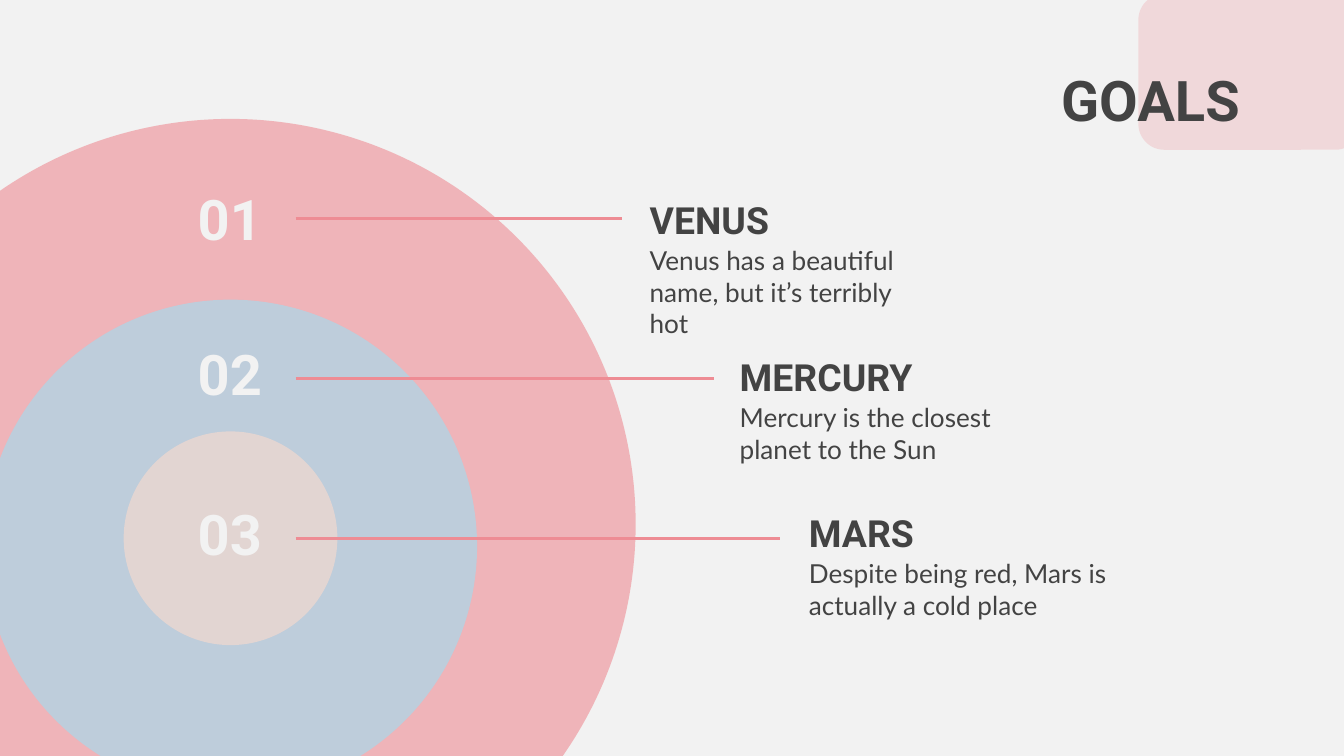
from dataclasses import dataclass

from lxml.etree import SubElement
from pptx import Presentation
from pptx.dml.color import RGBColor
from pptx.enum.shapes import MSO_CONNECTOR, MSO_SHAPE
from pptx.enum.text import MSO_ANCHOR as Anchor, MSO_AUTO_SIZE, PP_ALIGN as Align
from pptx.oxml.ns import qn
from pptx.shapes.autoshape import Shape
from pptx.slide import Slide
from pptx.text.text import TextFrame
from pptx.util import Emu, Pt

SCALE = 4572  # EMU per px, 200 px to the inch


def px(n: int) -> Emu:
    return Emu(n * SCALE)


@dataclass(frozen=True)
class Style:
    size: int
    color: str
    font: str = "Roboto"
    bold: bool = True


@dataclass(frozen=True)
class Theme:
    background: str = "F2F2F2"
    accent: str = "EE8C94"
    blue: str = "AED7E8"
    sand: str = "F2D9CF"
    title: Style = Style(30, "434343")
    number: Style = Style(30, "F2F2F2")
    heading: Style = Style(20, "434343")
    body: Style = Style(14, "434343", "Lato", False)
    line_width: float = 1.5
    inset: int = 20


THEME = Theme()


@dataclass(frozen=True)
class Box:
    left: int
    top: int
    width: int
    height: int

    def emu(self) -> tuple[Emu, Emu, Emu, Emu]:
        return px(self.left), px(self.top), px(self.width), px(self.height)


@dataclass(frozen=True)
class Disc:
    box: Box
    color: str
    alpha: int


@dataclass(frozen=True)
class Goal:
    number: str
    name: str
    text: str
    number_top: int
    line_y: int
    line_end: int
    left: int
    name_top: int
    text_width: int


DISCS = (
    Disc(Box(-260, 177, 1206, 1206), THEME.accent, 60),
    Disc(Box(-24, 446, 734, 734), THEME.blue, 74),
    Disc(Box(184, 642, 318, 318), THEME.sand, 71),
)
GOALS = (
    Goal("01", "VENUS", "Venus has a beautiful name, but it’s terribly hot",
         269, 325, 926, 947, 254, 438),
    Goal("02", "MERCURY", "Mercury is the closest planet to the Sun",
         500, 563, 1062, 1081, 488, 438),
    Goal("03", "MARS", "Despite being red, Mars is actually a cold place",
         738, 801, 1160, 1184, 720, 534),
)
NUMBER_LEFT, NUMBER_WIDTH = 264, 156
NAME_WIDTH, NAME_HEIGHT = 342, 126
TEXT_OFFSET, TEXT_HEIGHT = 90, 192
LINE_START = 440


def write(tf: TextFrame, text: str, style: Style, align: Align, anchor: Anchor) -> None:
    tf.word_wrap = True
    tf.auto_size = MSO_AUTO_SIZE.NONE
    tf.vertical_anchor = anchor
    tf.margin_left = tf.margin_right = px(THEME.inset)
    tf.margin_top = tf.margin_bottom = px(THEME.inset)
    p = tf.paragraphs[0]
    p.alignment = align
    r = p.add_run()
    r.text = text
    r.font.name = style.font
    r.font.size = Pt(style.size)
    r.font.bold = style.bold
    r.font.color.rgb = RGBColor.from_string(style.color)


def add_text(s: Slide, box: Box, text: str, style: Style,
             align: Align = Align.LEFT, anchor: Anchor = Anchor.BOTTOM) -> None:
    write(s.shapes.add_textbox(*box.emu()).text_frame, text, style, align, anchor)


def add_tint(s: Slide, kind: MSO_SHAPE, box: Box, color: str, alpha: int) -> Shape:
    """Add a borderless shape whose fill has the given opacity in percent."""
    sp = s.shapes.add_shape(kind, *box.emu())
    sp.shadow.inherit = False
    sp.fill.solid()
    sp.fill.fore_color.rgb = RGBColor.from_string(color)
    clr = sp.element.spPr.find(f"{qn('a:solidFill')}/{qn('a:srgbClr')}")
    SubElement(clr, qn("a:alpha")).set("val", str(alpha * 1000))
    sp.line.fill.background()
    return sp


def add_leader(s: Slide, y: int, end: int) -> None:
    line = s.shapes.add_connector(
        MSO_CONNECTOR.STRAIGHT, px(LINE_START), px(y), px(end), px(y))
    line.line.color.rgb = RGBColor.from_string(THEME.accent)
    line.line.width = Pt(THEME.line_width)
    SubElement(line.element.spPr, qn("a:effectLst"))


def add_goal(s: Slide, g: Goal) -> None:
    add_text(s, Box(g.left, g.name_top, NAME_WIDTH, NAME_HEIGHT), g.name, THEME.heading)
    add_text(s, Box(g.left, g.name_top + TEXT_OFFSET, g.text_width, TEXT_HEIGHT),
             g.text, THEME.body, anchor=Anchor.TOP)
    add_text(s, Box(NUMBER_LEFT, g.number_top, NUMBER_WIDTH, NAME_HEIGHT),
             g.number, THEME.number, Align.CENTER)
    add_leader(s, g.line_y, g.line_end)


def add_title(s: Slide, text: str) -> None:
    title = s.shapes.title
    title.left, title.top, title.width, title.height = Box(1187, 78, 678, 204).emu()
    write(title.text_frame, text, THEME.title, Align.RIGHT, Anchor.TOP)
    corner = add_tint(s, MSO_SHAPE.ROUNDED_RECTANGLE, Box(1694, -9, 332, 232),
                      THEME.accent, 25)
    title.element.addprevious(corner.element)  # the corner lies behind the title


def main() -> None:
    prs = Presentation()
    prs.slide_width, prs.slide_height = px(2000), px(1125)
    s = prs.slides.add_slide(prs.slide_layouts[5])
    s.background.fill.solid()
    s.background.fill.fore_color.rgb = RGBColor.from_string(THEME.background)
    add_title(s, "GOALS")
    for disc in DISCS:
        add_tint(s, MSO_SHAPE.OVAL, disc.box, disc.color, disc.alpha)
    for goal in GOALS:
        add_goal(s, goal)
    prs.save("out.pptx")


if __name__ == "__main__":
    main()
